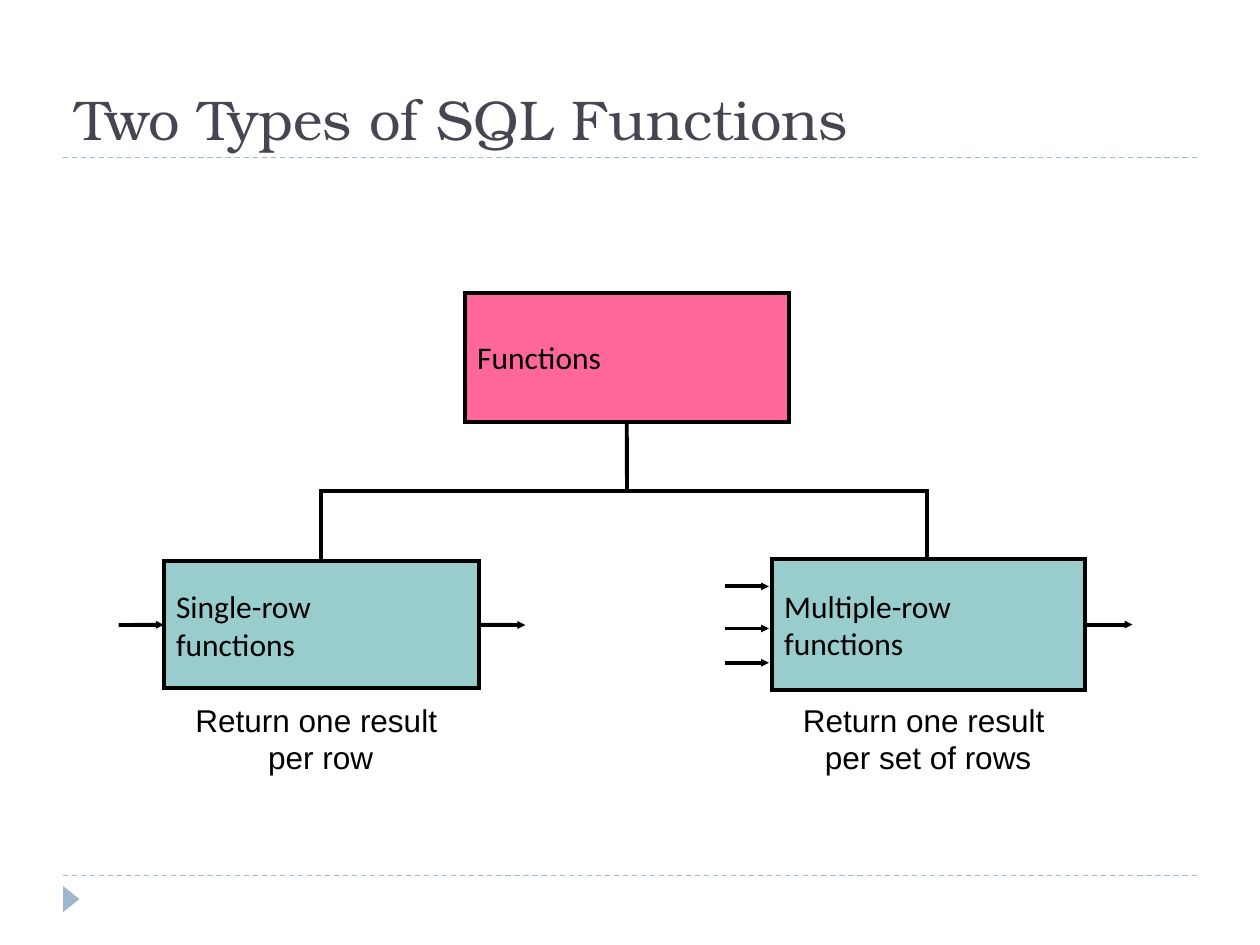
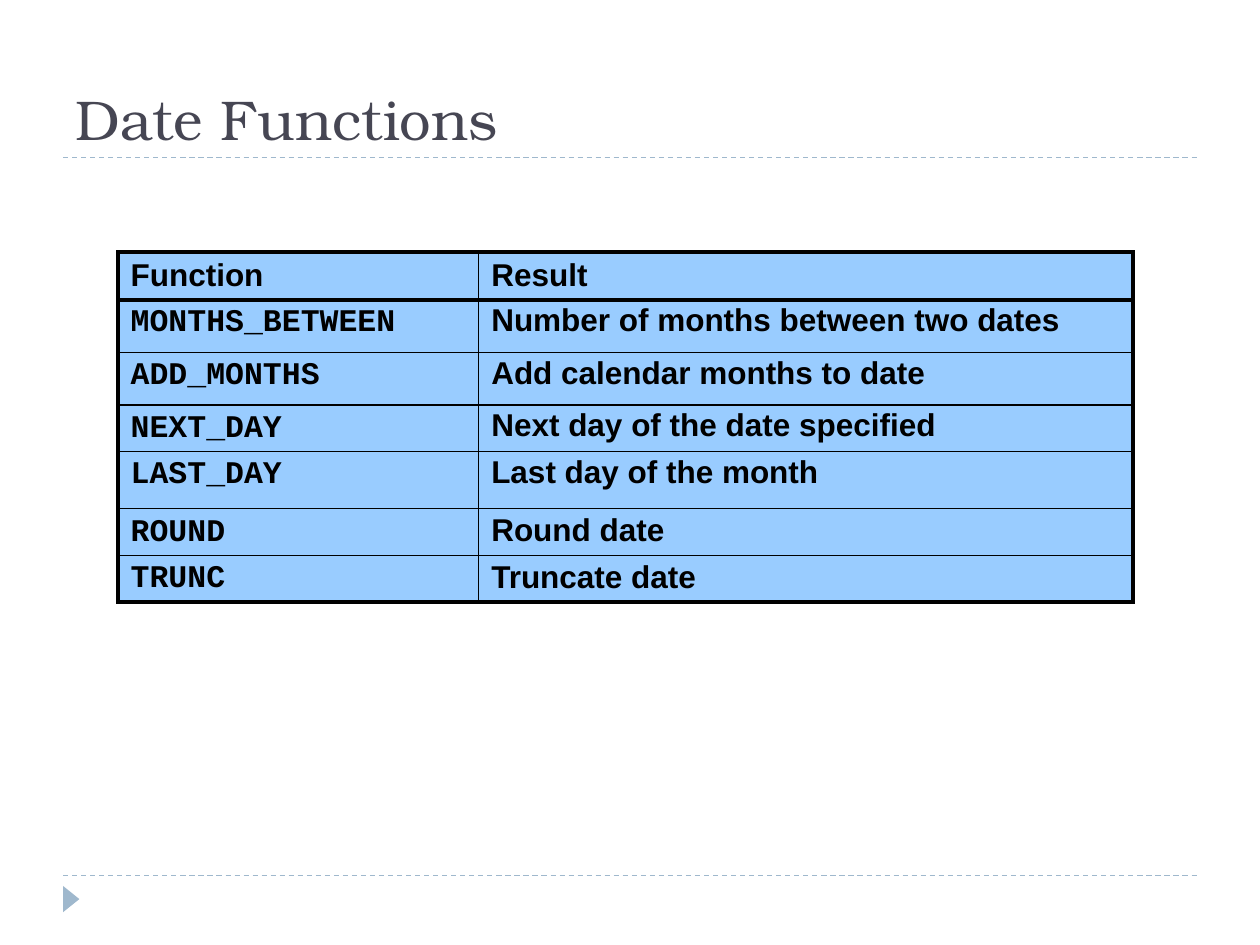
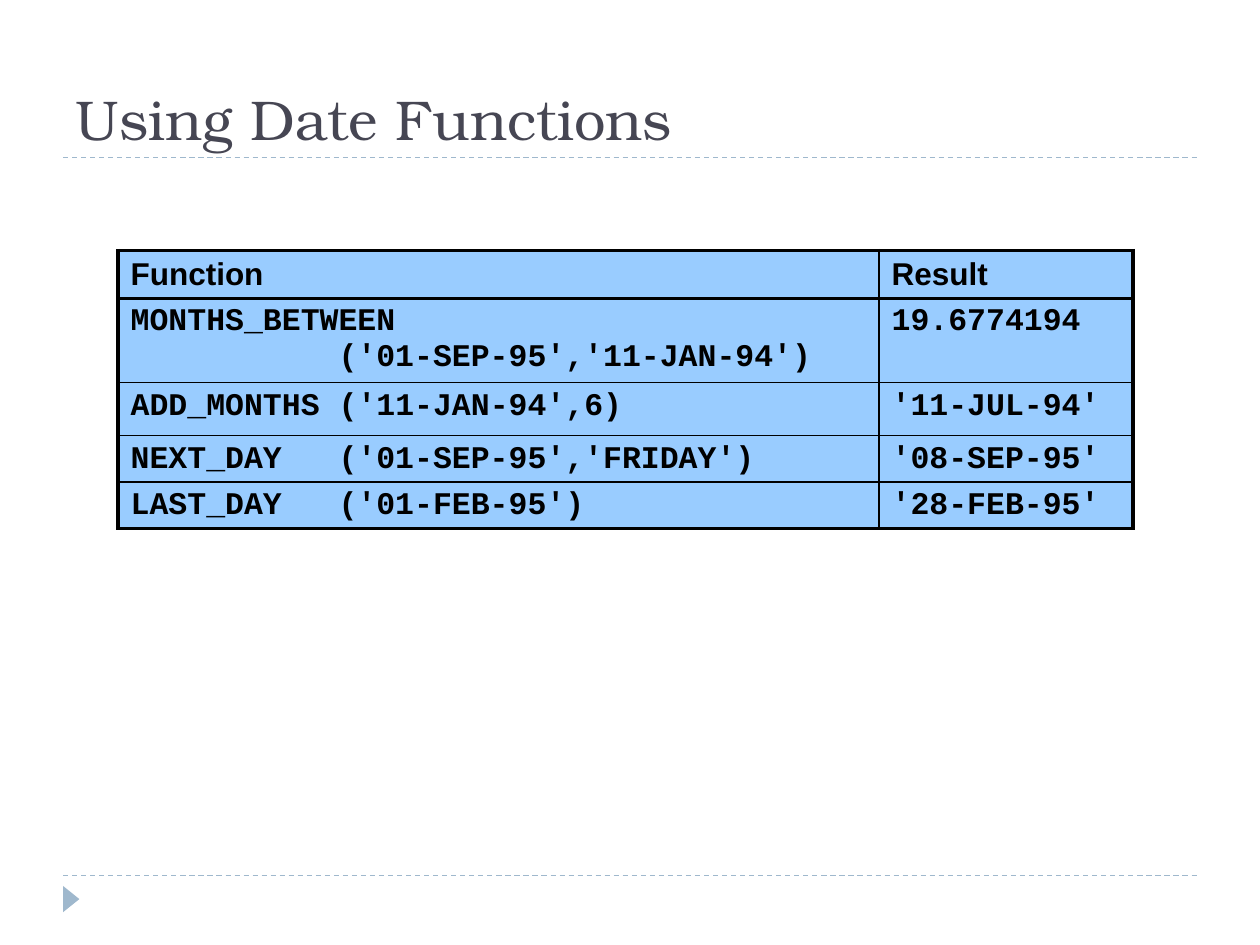
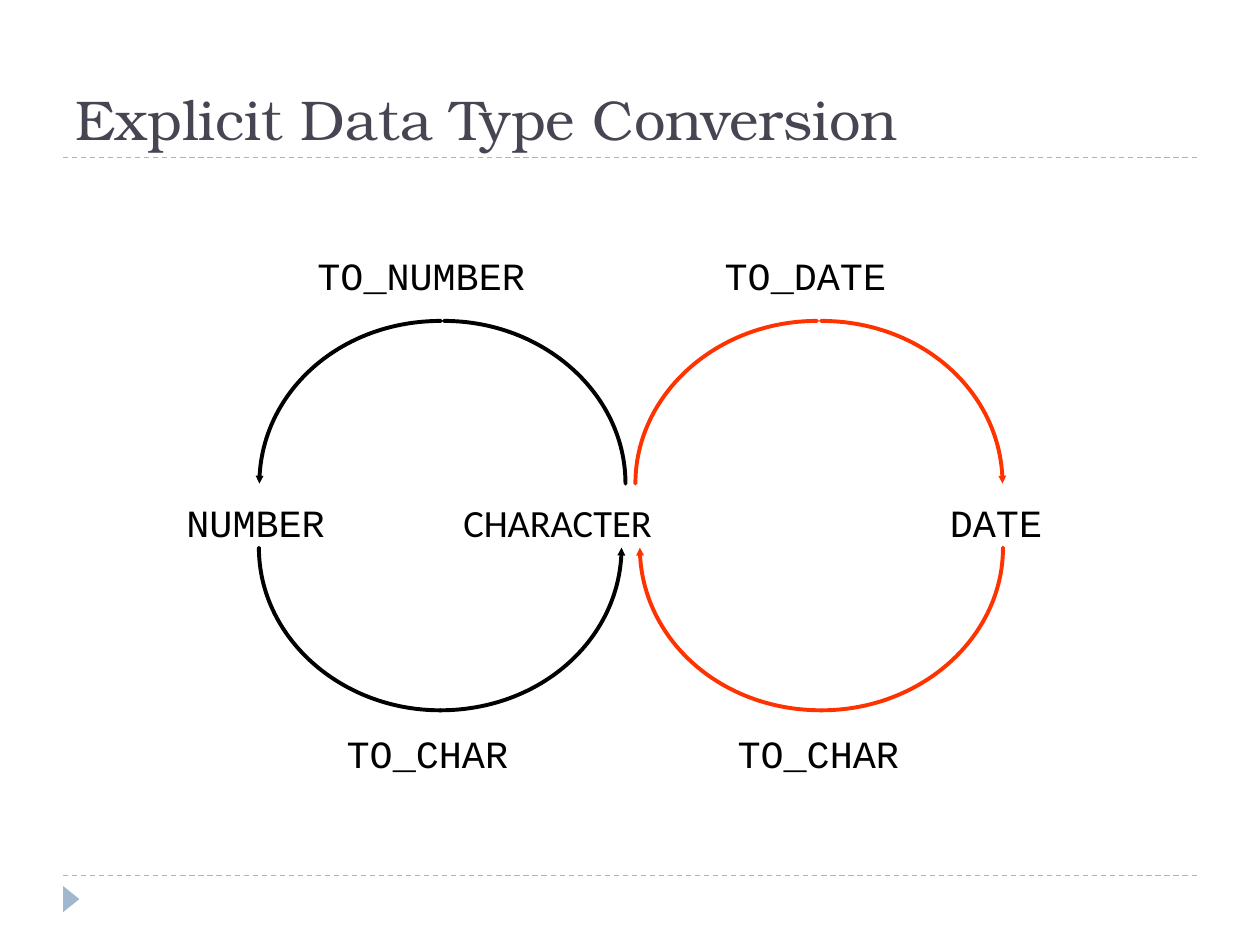
"""Build four slides on SQL functions, date functions and type conversion."""
from math import cos, radians, sin

from lxml.etree import SubElement
from pptx import Presentation
from pptx.dml.color import RGBColor
from pptx.enum.dml import MSO_LINE
from pptx.enum.shapes import MSO_CONNECTOR, MSO_SHAPE
from pptx.enum.text import MSO_ANCHOR, MSO_AUTO_SIZE, PP_ALIGN
from pptx.oxml.ns import qn
from pptx.util import Cm, Pt

BLACK, RED, PINK, TEAL = "000000", "FF3300", "FF6699", "99CCCC"
SKY, MIST, SLATE = "99CCFF", "9FB8CD", "464653"
SERIF, SANS, BODY, CODE = "TeX Gyre Bonum", "Arial", "Calibri", "Courier New"
TAB = Cm(4.19)
BEND = 0.55
hue = RGBColor.from_string


def write(frame, text, font=BODY, size=18, color=BLACK, bold=False, wrap=True,
          align=PP_ALIGN.LEFT, anchor=MSO_ANCHOR.MIDDLE, space=None):
    frame.word_wrap = wrap
    frame.auto_size = MSO_AUTO_SIZE.NONE
    frame.vertical_anchor = anchor
    for i, part in enumerate(text.split("\n")):
        para = frame.add_paragraph() if i else frame.paragraphs[0]
        para.alignment = align
        para.line_spacing = space
        run = para.add_run()
        run.text = part
        run.font.name, run.font.size, run.font.bold = font, Pt(size), bold
        run.font.color.rgb = hue(color)
        if "\t" in part:
            stops = SubElement(para._p.get_or_add_pPr(), qn("a:tabLst"))
            SubElement(stops, qn("a:tab"), pos=str(TAB), algn="l")


def stroke(shape, color=BLACK, width=2.25, dash=None, cap="flat", tip=False):
    shape.line.color.rgb = hue(color)
    shape.line.width = Pt(width)
    if dash:
        shape.line.dash_style = dash
    props = shape.element.spPr
    pen = props.find(qn("a:ln"))
    pen.set("cap", cap)
    if cap == "flat":
        SubElement(pen, qn("a:miter"), lim="800000")
    if tip:
        SubElement(pen, qn("a:tailEnd"), type="triangle", w="sm", len="sm")
    SubElement(props, qn("a:effectLst"))


deck = Presentation()
deck.slide_width, deck.slide_height = Cm(25.4), Cm(19.05)
slides = []
for title in ("Two Types of SQL Functions", "Date Functions",
              "Using Date Functions", "Explicit Data Type Conversion"):
    slide = deck.slides.add_slide(deck.slide_layouts[5])
    head = slide.shapes.title
    head.left, head.top, head.width, head.height = Cm(1.27), Cm(0.64), Cm(22.86), Cm(2.54)
    write(head.text_frame, title, font=SERIF, size=32, color=SLATE, anchor=MSO_ANCHOR.BOTTOM)
    slides.append(slide)

shapes = slides[0].shapes
decor = []
for y in (17.65, 3.18):
    rule = shapes.add_connector(MSO_CONNECTOR.STRAIGHT, Cm(1.27), Cm(y), Cm(24.13), Cm(y))
    stroke(rule, MIST, 0.75, dash=MSO_LINE.DASH)
    decor.append(rule)
mark = shapes.add_shape(MSO_SHAPE.ISOSCELES_TRIANGLE, Cm(1.17), Cm(17.96), Cm(0.53), Cm(0.33))
mark.rotation = 90
mark.shadow.inherit = False
mark.fill.solid()
mark.fill.fore_color.rgb = hue(MIST)
mark.line.fill.background()
for item in decor + [mark]:
    deck.slide_master.shapes.element.append(item.element)

bus = shapes.build_freeform(Cm(6.48), Cm(11.28))
bus.add_line_segments([(Cm(x), Cm(y)) for x, y in ((6.48, 9.9), (18.68, 9.9), (18.68, 11.38))],
                      close=False)
tree = bus.convert_to_shape()
tree.fill.background()
stroke(tree)

boxes = []
for text, x, y, w, h, color in (
        ("Functions", 9.37, 5.91, 6.53, 2.59, PINK),
        ("Single-row\nfunctions", 3.3, 11.31, 6.36, 2.57, TEAL),
        ("Multiple-row\nfunctions", 15.56, 11.27, 6.31, 2.64, TEAL)):
    box = shapes.add_shape(MSO_SHAPE.RECTANGLE, Cm(x), Cm(y), Cm(w), Cm(h))
    box.fill.solid()
    box.fill.fore_color.rgb = hue(color)
    stroke(box)
    write(box.text_frame, text)
    boxes.append(box)
root, single, multi = boxes

for x1, y1, x2, y2, start, stop in (
        (12.64, 8.5, 12.64, 9.9, (root, 2), None),
        (2.39, 12.6, 3.3, 12.6, None, (single, 1)),
        (9.66, 12.6, 10.59, 12.6, (single, 3), None),
        (21.87, 12.59, 22.83, 12.59, (multi, 3), None),
        (14.61, 11.82, 15.5, 11.82, None, None),
        (14.61, 12.67, 15.5, 12.67, None, None),
        (14.61, 13.36, 15.5, 13.36, None, None)):
    link = shapes.add_connector(MSO_CONNECTOR.STRAIGHT, Cm(x1), Cm(y1), Cm(x2), Cm(y2))
    if start:
        link.begin_connect(*start)
    if stop:
        link.end_connect(*stop)
    stroke(link, tip=y1 == y2)

for text, x, w in (("Return one result \nper row", 2.16, 8.61),
                   ("Return one result \nper set of rows", 13.82, 9.78)):
    note = shapes.add_textbox(Cm(x), Cm(14.21), Cm(w), Cm(1.35))
    write(note.text_frame, text, font=SANS, align=PP_ALIGN.CENTER, wrap=False)

dates = [
    ("Function", "Result", 0.86, None),
    ("MONTHS_BETWEEN", "Number of months between two dates", 1.06, 0.9),
    ("ADD_MONTHS", "Add calendar months to date", 1.06, 0.9),
    ("NEXT_DAY", "Next day of the date specified", 0.94, 0.9),
    ("LAST_DAY", "Last day of the month", 1.15, 0.9),
    ("ROUND", "Round date", 0.86, 0.95),
    ("TRUNC", "Truncate date", 0.86, 0.95),
]
calls = [
    ("Function", "Result", 0.95, None),
    ("MONTHS_BETWEEN\n\t('01-SEP-95','11-JAN-94')", "19.6774194", 1.69, None),
    ("ADD_MONTHS ('11-JAN-94',6)", "'11-JUL-94'", 1.07, 0.95),
    ("NEXT_DAY\t('01-SEP-95','FRIDAY')", "'08-SEP-95'", 0.86, 0.95),
    ("LAST_DAY\t('01-FEB-95')", "'28-FEB-95'", 0.86, 0.95),
]
for slide, rows, top, widths, fonts in (
        (slides[1], dates, 5.08, (7.27, 13.19), (CODE, SANS)),
        (slides[2], calls, 5.05, (15.34, 5.12), (CODE, CODE))):
    last = len(rows) - 1
    high = sum(row[2] for row in rows)
    grid = slide.shapes.add_table(len(rows), 2, Cm(2.38), Cm(top),
                                  Cm(sum(widths)), Cm(high)).table
    grid.first_row = grid.horz_banding = False
    for c, width in enumerate(widths):
        grid.columns[c].width = Cm(width)
    for r, (left, right, height, space) in enumerate(rows):
        grid.rows[r].height = Cm(height)
        for c, text in enumerate((left, right)):
            cell = grid.cell(r, c)
            props = cell._tc.get_or_add_tcPr()
            for side, thick in (("L", c == 0), ("R", c == 1),
                                ("T", r <= 1), ("B", r in (0, last))):
                edge = SubElement(props, qn("a:ln" + side), w=str(Pt(2.25 if thick else 1)))
                SubElement(SubElement(edge, qn("a:solidFill")), qn("a:srgbClr"), val=BLACK)
            cell.fill.solid()
            cell.fill.fore_color.rgb = hue(SKY)
            write(cell.text_frame, text, font=fonts[c] if r else SANS, bold=True,
                  anchor=None, space=space)

shapes = slides[3].shapes
for x, y, first, color, tip in (
        (8.87, 11.04, 90, BLACK, True), (8.88, 11.04, 180, BLACK, False),
        (8.95, 9.75, 0, BLACK, False), (8.89, 9.75, 270, BLACK, True),
        (16.56, 11.04, 0, RED, False), (16.56, 11.04, 90, RED, True),
        (16.47, 9.75, 180, RED, False), (16.55, 9.75, 270, RED, True)):
    turn = 90 if color == RED else -90
    (ax, ay), (bx, by) = [(cos(radians(a)), sin(radians(a))) for a in (first, first + turn)]
    spots = [(Cm(x + 3.66 * u), Cm(y + 3.28 * v)) for u, v in (
        (ax, ay), (ax + BEND * bx, ay + BEND * by), (bx + BEND * ax, by + BEND * ay), (bx, by))]
    curve = shapes.build_freeform(*spots[0])
    curve.add_line_segments(spots[1:], close=False)
    arc = curve.convert_to_shape()
    track = arc.element.find(".//" + qn("a:path"))
    bow = SubElement(track, qn("a:cubicBezTo"))
    for leg in track.findall(qn("a:lnTo")):
        bow.append(leg[0])
        track.remove(leg)
    arc.fill.background()
    stroke(arc, color, cap="rnd", tip=tip)

for text, x, y, w, font in (
        ("NUMBER", 3.51, 9.93, 3.48, CODE), ("CHARACTER", 9.09, 9.93, 7.24, BODY),
        ("DATE", 18.9, 9.93, 2.62, CODE), ("TO_CHAR", 6.74, 14.59, 4.42, CODE),
        ("TO_CHAR", 14.62, 14.59, 3.86, CODE), ("TO_NUMBER", 6.15, 4.95, 5.61, CODE),
        ("TO_DATE", 14.36, 4.95, 4.37, CODE)):
    label = shapes.add_textbox(Cm(x), Cm(y), Cm(w), Cm(1.19))
    write(label.text_frame, text, font=font, size=22, anchor=MSO_ANCHOR.TOP)

deck.save("out.pptx")
